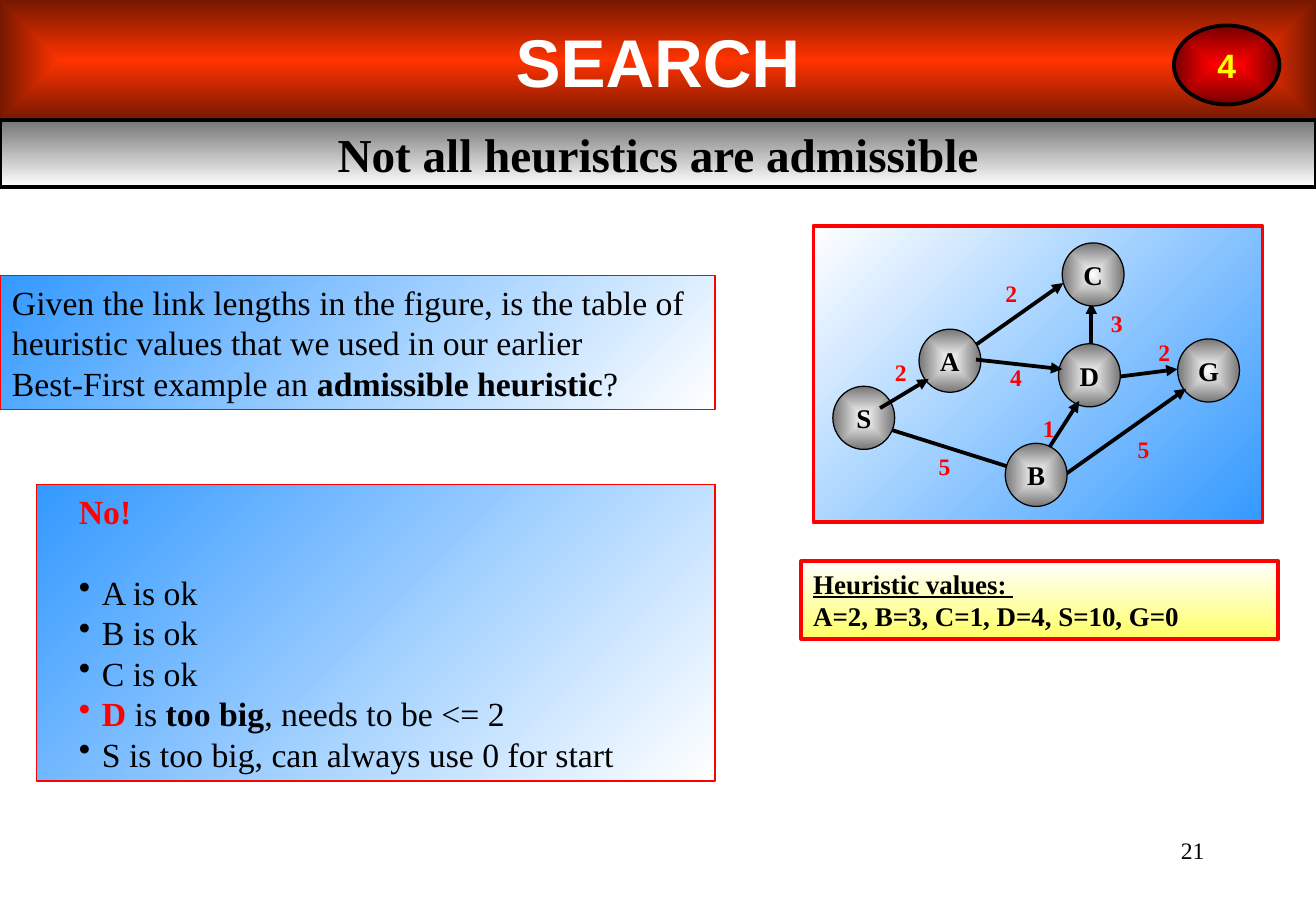
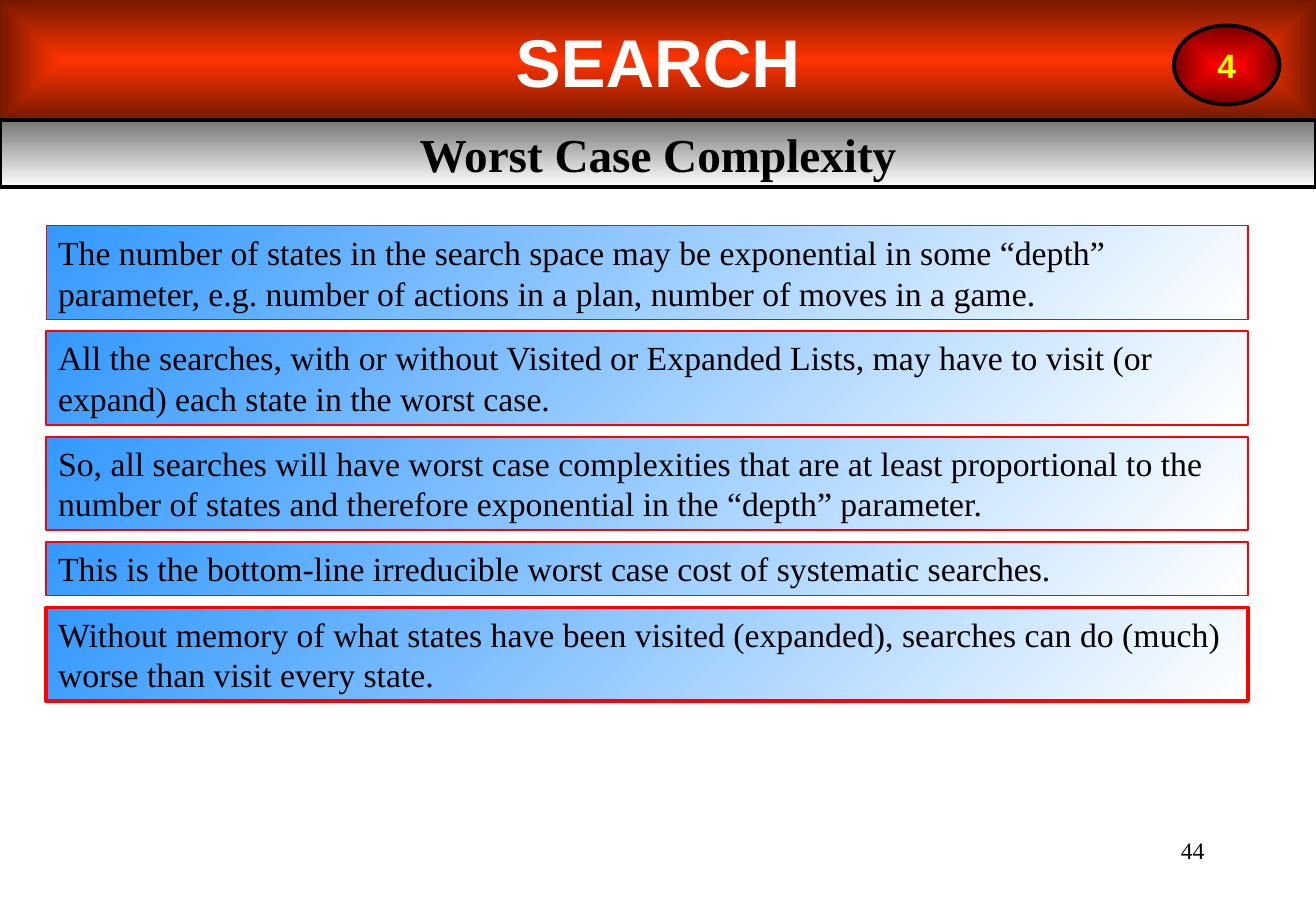
from lxml.etree import SubElement
from pptx import Presentation
from pptx.dml.color import RGBColor
from pptx.enum.shapes import MSO_CONNECTOR, MSO_SHAPE
from pptx.enum.text import MSO_ANCHOR, PP_ALIGN
from pptx.oxml.ns import qn
from pptx.util import Inches, Pt

BLACK = RGBColor(0x00, 0x00, 0x00)
WHITE = RGBColor(0xFF, 0xFF, 0xFF)
RED = RGBColor(0xFF, 0x00, 0x00)
DARK_RED = RGBColor(0x76, 0x00, 0x00)
ORANGE = RGBColor(0xFF, 0x33, 0x00)
BROWN = RGBColor(0x76, 0x18, 0x00)
GREY = RGBColor(0x76, 0x76, 0x76)
BLUE = RGBColor(0x33, 0x99, 0xFF)
YELLOW = RGBColor(0xFF, 0xFF, 0x00)
PALE_YELLOW = RGBColor(0xFF, 0xFF, 0x66)

# Gradients: first colour, last colour, clockwise angle (None runs from the centre)
BANNER_FILL = (ORANGE, BROWN, None)
SUBTITLE_FILL = (GREY, WHITE, 90)
BADGE_FILL = (RED, DARK_RED, None)
NODE_FILL = (WHITE, GREY, None)
GRAPH_FILL = (WHITE, BLUE, 45)
PANEL_FILL = (BLUE, WHITE, 45)
VALUES_FILL = (WHITE, PALE_YELLOW, 90)

# Text formats
BODY = {"name": "Times New Roman", "size": Pt(20), "color": BLACK, "bold": False}
BOLD = {"bold": True}
RED_BOLD = {"bold": True, "color": RED}
BANNER = {**BODY, "name": "Arial", "size": Pt(40), "color": WHITE, "bold": True}
SUBTITLE = {**BODY, "size": Pt(28), "bold": True}
BADGE = {**BANNER, "size": Pt(20), "color": YELLOW}
PAGE_NUMBER = {**BODY, "size": Pt(14)}
NODE = {**BODY, "size": Pt(16), "bold": True}
LENGTH = {**BODY, **RED_BOLD, "size": Pt(14)}
CENTRED = {"align": PP_ALIGN.CENTER, "anchor": MSO_ANCHOR.MIDDLE}

presentation = Presentation()
presentation.slide_width = Inches(10.84)
presentation.slide_height = Inches(7.5)
# Places are given in percent of the slide's width and height
COLUMN = presentation.slide_width / 100
ROW = presentation.slide_height / 100


def scale(*lengths):
    """Turn alternating horizontal and vertical percentages into lengths."""
    return [round(length * (ROW if index % 2 else COLUMN))
            for index, length in enumerate(lengths)]


def add_box(shapes, place, paragraphs, text_format, fill=None, line=None,
            preset=MSO_SHAPE.RECTANGLE, align=PP_ALIGN.LEFT,
            anchor=MSO_ANCHOR.TOP, wrap=True):
    """Add a text box, or a gradient shape; line is a colour and a width."""
    if fill is None:
        shape = shapes.add_textbox(*scale(*place))
    else:
        shape = shapes.add_shape(preset, *scale(*place))
        shape.shadow.inherit = False
        first, last, angle = fill
        shape.fill.gradient()
        for stop, color in zip(shape.fill.gradient_stops, (first, last)):
            stop.color.rgb = color
        if angle is None:
            gradient = shape._element.spPr.find(qn("a:gradFill"))
            gradient.remove(gradient.find(qn("a:lin")))
            centre = SubElement(gradient, qn("a:path"), {"path": "rect"})
            SubElement(centre, qn("a:fillToRect"), dict.fromkeys("ltrb", "50000"))
        else:
            shape.fill.gradient_angle = 360 - angle
        if line:
            shape.line.color.rgb, shape.line.width = line[0], Pt(line[1])
        else:
            shape.line.fill.background()
    frame = shape.text_frame
    frame.word_wrap = wrap
    frame.vertical_anchor = anchor
    for index, runs in enumerate(paragraphs):
        paragraph = frame.paragraphs[0] if index == 0 else frame.add_paragraph()
        paragraph.alignment = align
        for text, changes in runs:
            run = paragraph.add_run()
            run.text = text
            for name, value in {**text_format, **changes}.items():
                if name == "color":
                    run.font.color.rgb = value
                else:
                    setattr(run.font, name, value)
    return shape


# Shared parts: page number, banner, subtitle band, chapter badge
slides = []
for subtitle, number in (("Not all heuristics are admissible", "21"),
                         ("Worst Case Complexity", "44")):
    slide = presentation.slides.add_slide(presentation.slide_layouts[6])
    slides.append(slide)
    add_box(slide.shapes, (71.59, 91.07, 20.85, 6.67), [[(number, {})]],
            PAGE_NUMBER, align=PP_ALIGN.RIGHT)
    add_box(slide.shapes, (0, 0, 100, 13.2), [[("SEARCH", {})]], BANNER,
            BANNER_FILL, **CENTRED)
    add_box(slide.shapes, (0, 13.2, 100, 7.33), [[(subtitle, {})]], SUBTITLE,
            SUBTITLE_FILL, (BLACK, 2.25), **CENTRED)
    add_box(slide.shapes, (89.2, 2.8, 8.03, 8.67), [[("4", {})]], BADGE,
            BADGE_FILL, (BLACK, 2.25), MSO_SHAPE.OVAL, wrap=False, **CENTRED)
admissible_slide, complexity_slide = slides

# Search graph: layers of arrows and nodes, from back to front
NODE_WIDTH, NODE_HEIGHT = 4.7, 6.93
LENGTH_WIDTH, LENGTH_HEIGHT = 2.77, 4.53
graph_layers = [
    ([(82.93, 40.53, 82.93, 33.2), (73.62, 38.4, 80.81, 31.07),
      (83.67, 41.6, 89.48, 40.53)],
     [("C", 83.07, 30.13), ("A", 72.19, 39.6), ("D", 82.79, 41.2),
      ("G", 91.84, 40.67)]),
    ([(66.88, 46.8, 78.6, 52.13), (79.7, 49.2, 82.01, 44),
      (79.98, 53.07, 90.13, 42.67), (74.17, 39.47, 80.72, 40.53)],
     [("S", 65.64, 45.87)]),
    ([(66.88, 44.8, 70.57, 41.6)], [("B", 78.74, 52.13)]),
]
link_lengths = [("2", 76.85, 32.27), ("2", 68.45, 40.93), ("4", 77.21, 41.47),
                ("5", 71.77, 51.2), ("3", 84.87, 35.47), ("2", 88.47, 38.67),
                ("5", 86.9, 49.33), ("1", 79.7, 47.07)]

graph = admissible_slide.shapes.add_group_shape().shapes
add_box(graph, (61.81, 24.8, 34.13, 32.53), [], BODY, GRAPH_FILL, (RED, 2.25))
for arrows, nodes in graph_layers:
    for ends in arrows:
        arrow = graph.add_connector(MSO_CONNECTOR.STRAIGHT, *scale(*ends))
        arrow.line.color.rgb, arrow.line.width = BLACK, Pt(2.25)
        SubElement(arrow.line._get_or_add_ln(), qn("a:tailEnd"), {"type": "triangle"})
        SubElement(arrow._element.spPr, qn("a:effectLst"))
    for name, x, y in nodes:
        add_box(graph, (x - NODE_WIDTH / 2, y - NODE_HEIGHT / 2, NODE_WIDTH, NODE_HEIGHT),
                [[(name, {})]], NODE, NODE_FILL, (BLACK, 0.75), MSO_SHAPE.OVAL,
                wrap=False, **CENTRED)
for length, x, y in link_lengths:
    add_box(graph, (x - LENGTH_WIDTH / 2, y - LENGTH_HEIGHT / 2, LENGTH_WIDTH, LENGTH_HEIGHT),
            [[(length, {})]], LENGTH, align=PP_ALIGN.CENTER, wrap=False)

# Heuristic values
add_box(admissible_slide.shapes, (60.89, 61.6, 36.25, 8.53),
        [[("Heuristic values: ", {"underline": True})],
         [("A=2, B=3, C=1, D=4, S=10, G=0", {})]],
        NODE, VALUES_FILL, (RED, 2.25))

# Question
add_box(admissible_slide.shapes, (0, 30.27, 54.34, 14.67),
        [[("Given the link lengths in the figure, is the table of heuristic "
           "values that we used in our earlier", {})],
         [("Best-First example an ", {}), ("admissible heuristic", BOLD), ("?", {})]],
        BODY, PANEL_FILL, (RED, 0.75))

# Answer with bulleted reasons
answer = add_box(admissible_slide.shapes, (2.77, 53.2, 51.57, 32.53),
                 [[("No!", RED_BOLD)],
                  [("A is ok", {})],
                  [("B is ok", {})],
                  [("C is ok", {})],
                  [("D", RED_BOLD), (" is ", {}), ("too big", BOLD),
                   (", needs to be <= 2", {})],
                  [("S is too big, can always use 0 for start", {})]],
                 BODY, PANEL_FILL, (RED, 0.75))
verdict, *reasons = answer.text_frame.paragraphs
for paragraph in (verdict, *reasons):
    properties = paragraph._p.get_or_add_pPr()
    properties.set("marL", str(Inches(0.44)))
    properties.set("indent", str(Inches(-0.19)))
    if paragraph in reasons:
        bullet_color = SubElement(properties, qn("a:buClr"))
        SubElement(bullet_color, qn("a:srgbClr"),
                   {"val": str(paragraph.runs[0].font.color.rgb)})
        SubElement(properties, qn("a:buChar"), {"char": "•"})
verdict.space_after = Pt(24)

# Stacked statements: text, number of lines, border width
statements = [
    ("The number of states in the search space may be exponential in some “depth” "
     "parameter, e.g. number of actions in a plan, number of moves in a game.", 2, 0.75),
    ("All the searches, with or without Visited or Expanded Lists, may have to visit "
     "(or expand) each state in the worst case.", 2, 1),
    ("So, all searches will have worst case complexities that are at least proportional "
     "to the number of states and therefore exponential in the “depth” parameter.", 2, 1),
    ("This is the bottom-line irreducible worst case cost of systematic searches.", 1, 1),
    ("Without memory of what states have been visited (expanded), searches can do (much) "
     "worse than visit every state.", 2, 2.25),
]
LINE_HEIGHT, PADDING, GAP = 4.4, 1.47, 1.3
top = 24.8
for text, line_count, border in statements:
    height = line_count * LINE_HEIGHT + PADDING
    add_box(complexity_slide.shapes, (3.51, top, 91.33, height), [[(text, {})]],
            BODY, PANEL_FILL, (RED, border))
    top += height + GAP

presentation.save("out.pptx")
